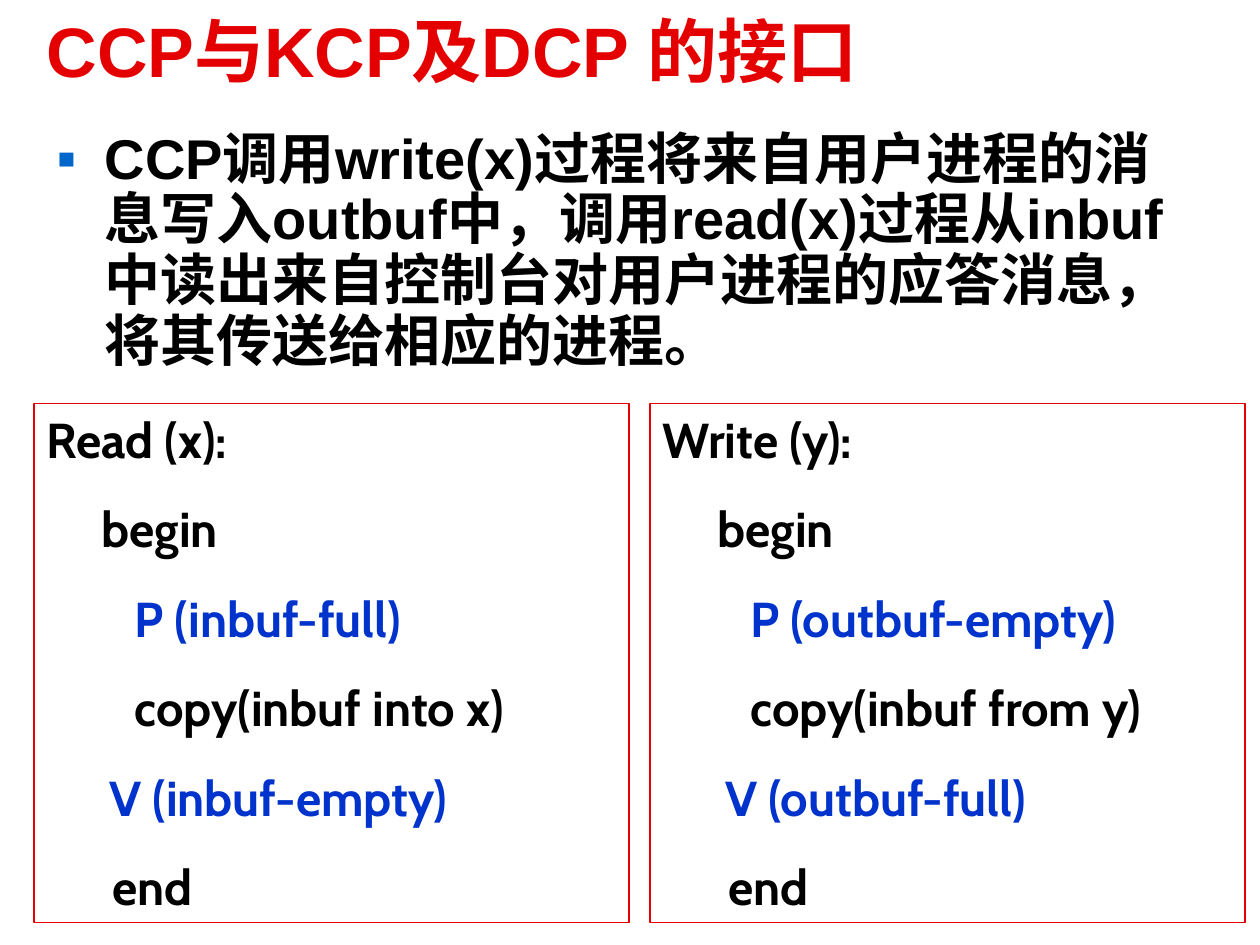
from dataclasses import dataclass

from lxml.etree import SubElement
from pptx import Presentation
from pptx.dml.color import RGBColor
from pptx.enum.shapes import MSO_SHAPE as Shape
from pptx.enum.text import MSO_ANCHOR as Anchor, MSO_AUTO_SIZE as AutoSize, PP_ALIGN as Align
from pptx.oxml.ns import qn
from pptx.util import Pt


@dataclass(frozen=True)
class Theme:
    red: str = "E40000"
    blue: str = "0033CC"
    bullet: str = "0066CC"
    black: str = "000000"
    white: str = "FFFFFF"
    text_font: str = "Arial"
    code_font: str = "Cabin"
    title_size: float = 40
    body_size: float = 32
    code_size: float = 28


THEME = Theme()


def place(shape, box):
    shape.left, shape.top, shape.width, shape.height = (Pt(length) for length in box)


def set_font(para, name, size, color):
    font = para.font
    font.name, font.size, font.bold = name, Pt(size), True
    font.color.rgb = RGBColor.from_string(color)


def add_bullet(para, indent):
    props = para._p.get_or_add_pPr()
    props.set("marL", str(Pt(indent)))
    props.set("indent", str(Pt(-indent)))
    color = SubElement(props, qn("a:buClr"))
    SubElement(color, qn("a:srgbClr"), val=THEME.bullet)
    SubElement(props, qn("a:buFont"), typeface=THEME.text_font)
    SubElement(props, qn("a:buChar"), char="▪")


def write_title(page, box, text):
    title = page.shapes.title
    place(title, box)
    title.fill.solid()
    title.fill.fore_color.rgb = RGBColor.from_string(THEME.white)
    frame = title.text_frame
    frame.auto_size = AutoSize.NONE
    frame.vertical_anchor = Anchor.MIDDLE
    frame.text = text
    para = frame.paragraphs[0]
    para.alignment = Align.LEFT
    set_font(para, THEME.text_font, THEME.title_size, THEME.red)


def write_body(page, box, text):
    body = page.placeholders[1]
    place(body, box)
    frame = body.text_frame
    frame.auto_size = AutoSize.NONE
    frame.text = text
    para = frame.paragraphs[0]
    add_bullet(para, 27.36)
    para.line_spacing = 0.9
    para.space_before = Pt(0)
    set_font(para, THEME.text_font, THEME.body_size, THEME.black)


def add_code_panel(page, box, lines):
    panel = page.shapes.add_shape(Shape.RECTANGLE, *(Pt(length) for length in box))
    panel.shadow.inherit = False
    panel.fill.background()
    panel.line.color.rgb = RGBColor.from_string(THEME.red)
    panel.line.width = Pt(0.75)
    frame = panel.text_frame
    frame.word_wrap = True
    frame.auto_size = AutoSize.SHAPE_TO_FIT_TEXT
    frame.vertical_anchor = Anchor.TOP
    for index, line in enumerate(lines):
        para = frame.add_paragraph() if index else frame.paragraphs[0]
        para.alignment = Align.LEFT
        para.space_before = Pt(17.5 if index else 0)
        para.add_run().text = line
        is_semaphore = line.lstrip().startswith(("P (", "V ("))
        color = THEME.blue if is_semaphore else THEME.black
        set_font(para, THEME.code_font, THEME.code_size, color)


def procedure(header, wait, copying, signal):
    return [header, "     begin", f"        {wait}", f"        {copying}", f"\t{signal}", "      end"]


def add_code_panels(page, box, procedures, gap):
    left, top, width, height = box
    panel_width = (width - gap * (len(procedures) - 1)) / len(procedures)
    for column, lines in enumerate(procedures):
        add_code_panel(page, (left + column * (panel_width + gap), top, panel_width, height), lines)


def main():
    deck = Presentation()
    deck.slide_width, deck.slide_height = Pt(720), Pt(540)
    page = deck.slides.add_slide(deck.slide_layouts[1])
    write_title(page, (19.5, 0, 568, 57), "CCP与KCP及DCP 的接口")
    write_body(
        page,
        (25.2, 71.3, 648, 148.3),
        "CCP调用write(x)过程将来自用户进程的消息写入outbuf中，调用read(x)过程从"
        "inbuf中读出来自控制台对用户进程的应答消息，将其传送给相应的进程。",
    )
    procedures = [
        procedure("Read (x):", "P (inbuf-full)", "copy(inbuf into x)", "V (inbuf-empty)"),
        procedure("Write (y):", "P (outbuf-empty)", "copy(inbuf from y)", "V (outbuf-full)"),
    ]
    add_code_panels(page, (19.5, 230.4, 692, 296.6), procedures, gap=12)
    deck.save("out.pptx")


if __name__ == "__main__":
    main()
